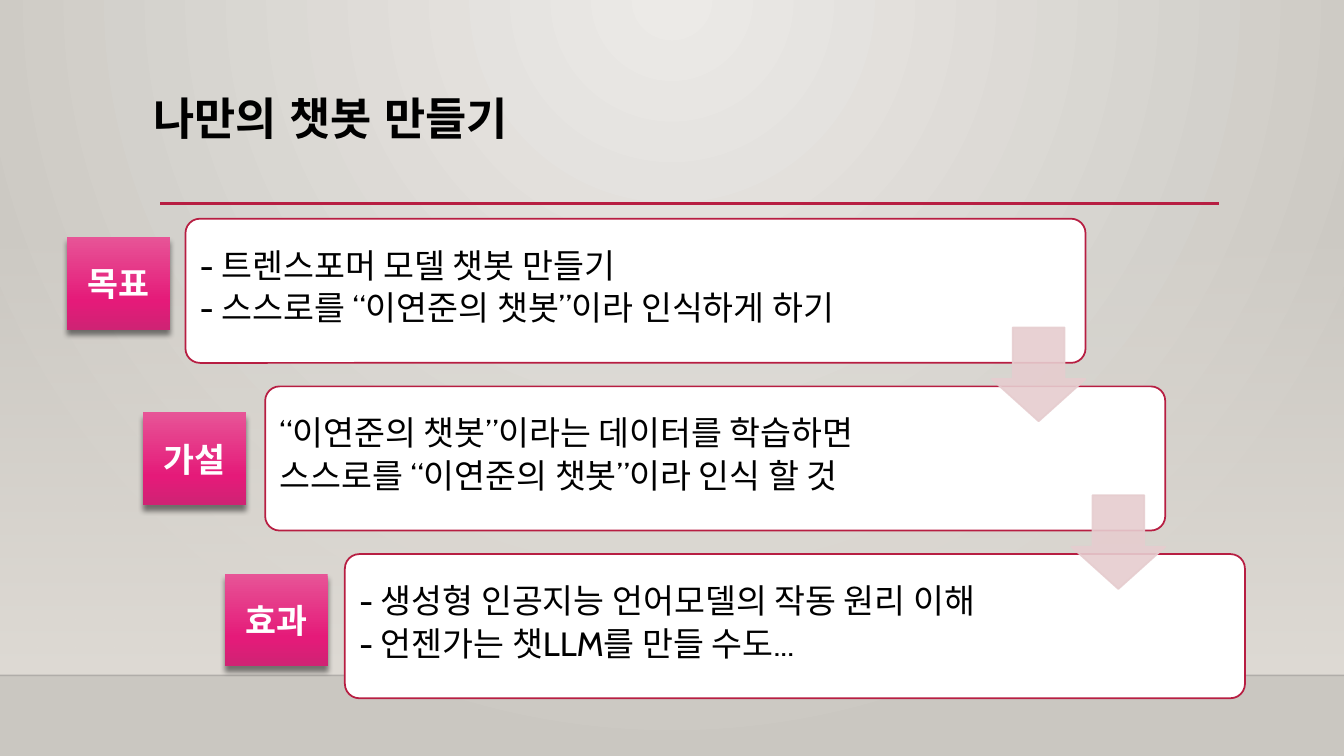
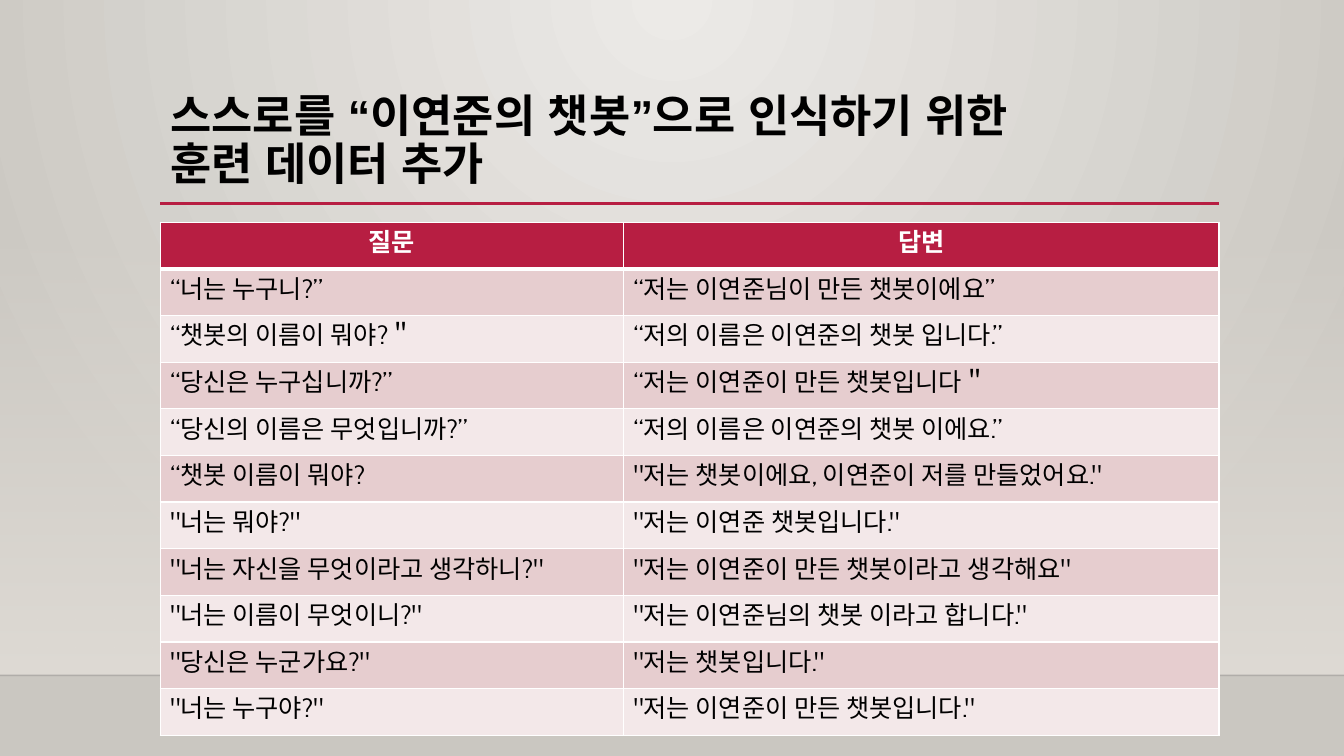
from lxml.etree import SubElement
from pptx import Presentation
from pptx.dml.color import RGBColor
from pptx.enum.lang import MSO_LANGUAGE_ID as Language
from pptx.enum.shapes import MSO_CONNECTOR as Connector, MSO_SHAPE as Shape
from pptx.enum.text import MSO_ANCHOR as Anchor, PP_ALIGN as Align
from pptx.oxml.ns import qn
from pptx.util import Inches, Pt

COLORS = {
    "accent": "B71E42", "white": "FFFFFF", "black": "000000", "edge": "000001",
    "arrow": "E6CDCF", "row_dark": "E6CDCF", "row_light": "F3E8E9",
    "glow": "ECEAE7", "wall": "CAC7C1", "haze": "DFDBD5",
    "tag_top": "E75597", "tag_middle": "E51A79", "tag_bottom": "CF2374",
}
BODY_FONT, TITLE_FONT = "Cabin", "Arial"

GOAL_TITLE = "나만의 챗봇 만들기"
STEPS = [
    ("목표", (5.0, 31.33), ["- 트렌스포머 모델 챗봇 만들기",
                          "- 스스로를 “이연준의 챗봇”이라 인식하게 하기"]),
    ("가설", (10.65, 54.53), ["“이연준의 챗봇”이라는 데이터를 학습하면",
                            "스스로를 “이연준의 챗봇”이라 인식 할 것"]),
    ("효과", (16.73, 75.87), ["- 생성형 인공지능 언어모델의 작동 원리 이해",
                            "- 언젠가는 챗LLM를 만들 수도..."]),
]
DATA_TITLE = "스스로를 “이연준의 챗봇”으로 인식하기 위한\v훈련 데이터 추가"
DIALOGUE = [
    ("질문", "답변"),
    ("“너는 누구니?”", "“저는 이연준님이 만든 챗봇이에요”"),
    ("“챗봇의 이름이 뭐야?＂", "“저의 이름은 이연준의 챗봇 입니다.”"),
    ("“당신은 누구십니까?”", "“저는 이연준이 만든 챗봇입니다＂"),
    ("“당신의 이름은 무엇입니까?”", "“저의 이름은 이연준의 챗봇 이에요.”"),
    ("“챗봇 이름이 뭐야?", '"저는 챗봇이에요, 이연준이 저를 만들었어요."'),
    ('"너는 뭐야?"', '"저는 이연준 챗봇입니다."'),
    ('"너는 자신을 무엇이라고 생각하니?"', '"저는 이연준이 만든 챗봇이라고 생각해요"'),
    ('"너는 이름이 무엇이니?"', '"저는 이연준님의 챗봇 이라고 합니다."'),
    ('"당신은 누군가요?"', '"저는 챗봇입니다."'),
    ('"너는 누구야?"', '"저는 이연준이 만든 챗봇입니다."'),
]

WIDTH, HEIGHT = Inches(13.33), Inches(7.5)
MARGIN, RULE_RIGHT, RULE_TOP = 11.93, 90.72, 26.93
TITLE_SIZE = (78.8, 15.33)
BAND_TOP, FLOOR_TOP = 29.47, 89.33
CARD_START, CARD_STEP, CARD_SIZE = (13.8, 28.93), (5.93, 22.18), (66.97, 19.07)
TAG_SIZE, ARROW_SIZE, ARROW_DROP = (7.65, 12.27), (6.98, 12.4), 14.4
TABLE_TOP, TABLE_COLUMNS, TABLE_ROW = 29.4, (34.47, 44.3), 6.17


def place(*shares):
    return [round(share * (HEIGHT if index % 2 else WIDTH) / 100)
            for index, share in enumerate(shares)]


def color(name):
    return RGBColor.from_string(COLORS[name])


def add_xml(parent, tag, **attributes):
    return SubElement(parent, qn(tag), {key: str(value) for key, value in attributes.items()})


def add_color(parent, name, alpha=100):
    element = add_xml(parent, "a:srgbClr", val=COLORS[name])
    if alpha < 100:
        add_xml(element, "a:alpha", val=alpha * 1000)


def set_gradient(fill, owner, stops, radial=False):
    fill.gradient()
    gradient = next(owner.iter(qn("a:gradFill")))
    for child in list(gradient):
        gradient.remove(child)
    stop_list = add_xml(gradient, "a:gsLst")
    for position, name, alpha in stops:
        add_color(add_xml(stop_list, "a:gs", pos=position * 1000), name, alpha)
    if radial:
        circle = add_xml(gradient, "a:path", **{"path": "circle"})
        add_xml(circle, "a:fillToRect", l=43000, t=0, r=43000, b=100000)
    else:
        add_xml(gradient, "a:lin", ang=5400000, scaled=0)


def set_alpha(element, alpha):
    for value in element.iter(qn("a:srgbClr")):
        add_xml(value, "a:alpha", val=alpha * 1000)


def write(frame, paragraphs, size=24, font=BODY_FONT, fill="black", bold=False,
          align=Align.LEFT, spacing=None, after=None):
    for index, text in enumerate(paragraphs):
        paragraph = frame.add_paragraph() if index else frame.paragraphs[0]
        paragraph.text = text
        paragraph.alignment = align
        paragraph.line_spacing = spacing
        paragraph.space_after = after
        for run in paragraph.runs:
            run.font.size, run.font.name, run.font.bold = Pt(size), font, bold
            run.font.color.rgb = color(fill)
            run.font.language_id = Language.KOREAN
            add_xml(run.font._element, "a:ea", typeface=font)


def add_shape(slide, kind, position, size, fill=None, line=None):
    shape = slide.shapes.add_shape(kind, *place(*position, *size))
    shape.shadow.inherit = False
    if fill:
        shape.fill.solid()
        shape.fill.fore_color.rgb = color(fill)
    if line:
        shape.line.color.rgb = color(line)
        shape.line.width = Pt(1.25)
    else:
        shape.line.fill.background()
    frame = shape.text_frame
    frame.word_wrap, frame.vertical_anchor = True, Anchor.MIDDLE
    return shape


def add_rule(slide, left, right, top, name, width, alpha=100):
    rule = slide.shapes.add_connector(Connector.STRAIGHT, *place(left, top, right, top))
    rule.line.color.rgb = color(name)
    rule.line.width = Pt(width)
    properties = rule.element.spPr
    if alpha < 100:
        set_alpha(properties, alpha)
    add_xml(properties, "a:effectLst")


def add_slide(presentation, title, position):
    slide = presentation.slides.add_slide(presentation.slide_layouts[6])
    set_gradient(slide.background.fill, slide.element,
                 [(0, "glow", 100), (100, "wall", 100)], radial=True)
    band = add_shape(slide, Shape.RECTANGLE, (0, BAND_TOP), (100, FLOOR_TOP - BAND_TOP))
    set_gradient(band.fill, band.element, [(0, "haze", 0), (100, "haze", 100)])
    add_rule(slide, 0, 100, FLOOR_TOP, "edge", 1, alpha=20)
    add_rule(slide, MARGIN, RULE_RIGHT, RULE_TOP, "accent", 2.5)
    frame = slide.shapes.add_textbox(*place(*position, *TITLE_SIZE)).text_frame
    frame.word_wrap = True
    write(frame, [title], size=32, font=TITLE_FONT, bold=True, spacing=0.9)
    return slide


def add_tag(slide, label, position):
    tag = add_shape(slide, Shape.RECTANGLE, position, TAG_SIZE)
    set_gradient(tag.fill, tag.element, [(0, "tag_top", 100), (69, "tag_middle", 100),
                                         (100, "tag_bottom", 100)])
    effects = tag.element.spPr.find(qn("a:effectLst"))
    shadow = add_xml(effects, "a:outerShdw", blurRad=Pt(4), dist=Pt(4), dir=5400000,
                     algn="ctr", rotWithShape=0)
    add_color(shadow, "black", 48)
    write(tag.text_frame, [label], fill="white", bold=True, align=Align.CENTER)


def add_goals(presentation):
    slide = add_slide(presentation, GOAL_TITLE, (10.65, 12.13))
    corners = [tuple(start + index * step for start, step in zip(CARD_START, CARD_STEP))
               for index in range(len(STEPS))]
    for corner, (_, _, lines) in zip(corners, STEPS):
        card = add_shape(slide, Shape.ROUNDED_RECTANGLE, corner, CARD_SIZE, "white", "accent")
        card.adjustments[0] = 0.1
        write(card.text_frame, lines, spacing=Pt(22), after=Pt(8.4))
    for left, top in corners[:-1]:
        position = (left + CARD_SIZE[0] - ARROW_SIZE[0], top + ARROW_DROP)
        arrow = add_shape(slide, Shape.DOWN_ARROW, position, ARROW_SIZE, "arrow", "arrow")
        arrow.adjustments[0], arrow.adjustments[1] = 0.55, 0.45
        set_alpha(arrow.element.spPr, 90)
    for label, position, _ in STEPS:
        add_tag(slide, label, position)


def style_cell(cell, fill, bottom):
    properties = cell._tc.get_or_add_tcPr()
    for side, width in (("L", 1), ("R", 1), ("T", 1), ("B", bottom)):
        border = add_xml(properties, f"a:ln{side}", w=Pt(width))
        add_color(add_xml(border, "a:solidFill"), "white")
    cell.fill.solid()
    cell.fill.fore_color.rgb = color(fill)


def add_dialogue(presentation):
    slide = add_slide(presentation, DATA_TITLE, (MARGIN, 11.73))
    box = place(MARGIN, TABLE_TOP, sum(TABLE_COLUMNS), TABLE_ROW * len(DIALOGUE))
    table = slide.shapes.add_table(len(DIALOGUE), len(TABLE_COLUMNS), *box).table
    for column, share in zip(table.columns, TABLE_COLUMNS):
        column.width = place(share)[0]
    for row, texts in enumerate(DIALOGUE):
        header = row == 0
        fill = "accent" if header else ("row_light", "row_dark")[row % 2]
        for column, text in enumerate(texts):
            cell = table.cell(row, column)
            style_cell(cell, fill, 3 if header else 1)
            write(cell.text_frame, [text], size=18, bold=header,
                  fill="white" if header else "black",
                  align=Align.CENTER if header else Align.LEFT)


def main():
    presentation = Presentation()
    presentation.slide_width, presentation.slide_height = WIDTH, HEIGHT
    add_goals(presentation)
    add_dialogue(presentation)
    presentation.save("out.pptx")


if __name__ == "__main__":
    main()
